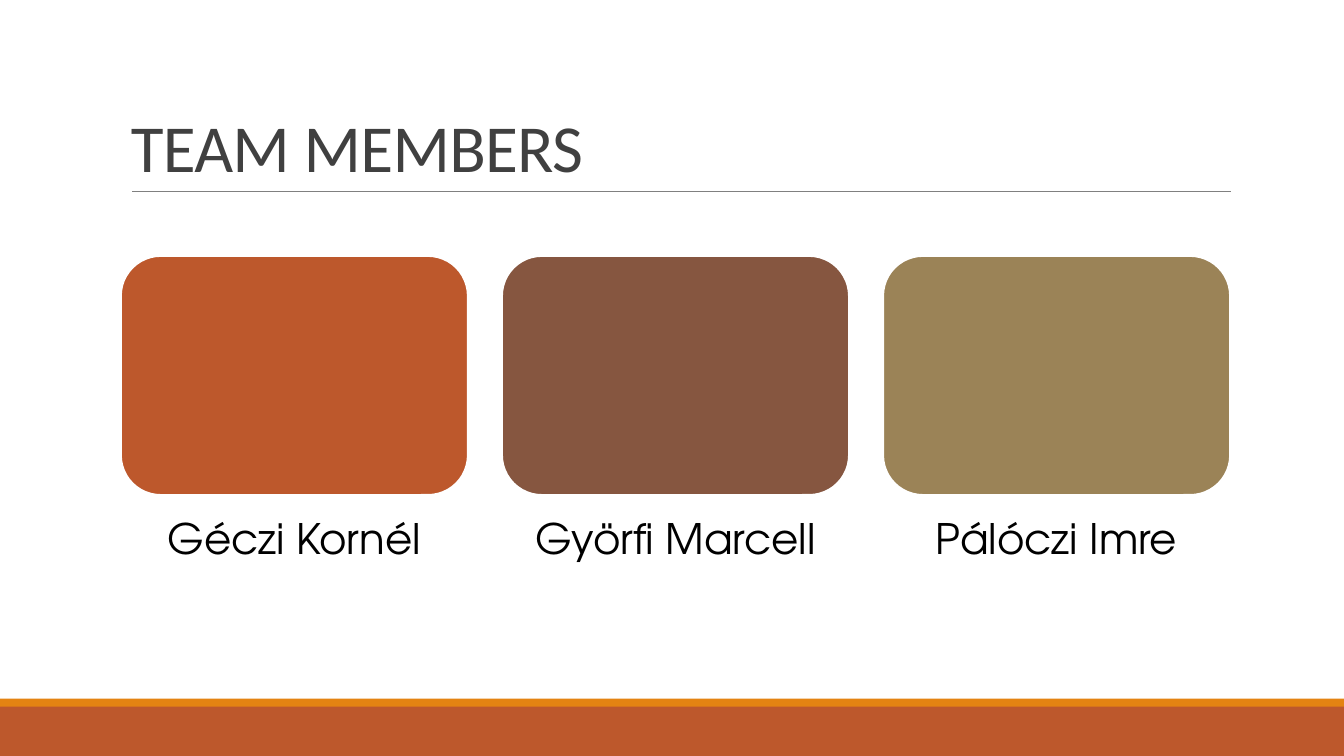
from lxml import etree
from pptx import Presentation
from pptx.dml.color import RGBColor
from pptx.enum import shapes, text
from pptx.oxml.ns import qn
from pptx.util import Inches, Pt

WHITE = RGBColor(0xFF, 0xFF, 0xFF)
BLACK = RGBColor(0, 0, 0)
CHARCOAL = RGBColor(0x40, 0x40, 0x40)
GRAY = RGBColor(0x80, 0x80, 0x80)
AMBER = RGBColor(0xE4, 0x83, 0x12)
RUST = RGBColor(0xBD, 0x58, 0x2C)
BROWN = RGBColor(0x86, 0x56, 0x40)
OLIVE = RGBColor(0x9B, 0x83, 0x57)

PAGE_WIDTH, PAGE_HEIGHT = 13.33, 7.5
MEMBERS = [("Géczi Kornél", RUST), ("Györfi Marcell", BROWN), ("Pálóczi Imre", OLIVE)]


def add_block(page, kind, box, fill, outline=None):
    block = page.shapes.add_shape(kind, *map(Inches, box))
    block.shadow.inherit = False
    block.fill.solid()
    block.fill.fore_color.rgb = fill
    if outline is None:
        block.line.fill.background()
    else:
        block.line.color.rgb = outline
        block.line.width = Pt(1.25)


def add_label(page, box, words, font, frame_format, para_format):
    """Add a one-paragraph text box and return its run."""
    frame = page.shapes.add_textbox(*map(Inches, box)).text_frame
    for name, value in frame_format.items():
        setattr(frame, name, value)
    para = frame.paragraphs[0]
    for name, value in para_format.items():
        setattr(para, name, value)
    span = para.add_run()
    span.text = words
    span.font.name, span.font.size, span.font.color.rgb = font
    return span


def add_heading(page, box, words):
    left, top, width, height = box
    span = add_label(page, box, words, ("Calibri", Pt(48), CHARCOAL),
                     {"word_wrap": True, "vertical_anchor": text.MSO_ANCHOR.BOTTOM},
                     {"line_spacing": 0.85})
    span.font._element.set("spc", "-50")
    rule_left, rule_top = left + 0.11, top + height
    rule = page.shapes.add_connector(
        shapes.MSO_CONNECTOR.STRAIGHT, Inches(rule_left), Inches(rule_top),
        Inches(rule_left + 10.9), Inches(rule_top))
    rule.line.color.rgb = GRAY
    rule.line.width = Pt(0.5)
    etree.SubElement(rule._element.spPr, qn("a:effectLst"))


def add_member(page, box, name, color):
    """Place a rounded card with the member's name below it."""
    left, top, width, height = box
    card_height = 2.37
    add_block(page, shapes.MSO_SHAPE.ROUNDED_RECTANGLE,
              (left, top, width, card_height), color, WHITE)
    inset = Inches(0.23)
    add_label(page, (left, top + card_height, width, height - card_height), name,
              ("TeX Gyre Adventor", Pt(30), BLACK),
              {"word_wrap": True, "margin_left": inset, "margin_top": inset,
               "margin_right": inset, "margin_bottom": 0},
              {"alignment": text.PP_ALIGN.CENTER, "line_spacing": 0.9})


def add_team(page, box, members):
    left, top, width, height = box
    card_width = 3.44
    step = (width - card_width) / (len(members) - 1)
    for index, (name, color) in enumerate(members):
        add_member(page, (left + index * step, top, card_width, height), name, color)


def add_footer(page, box):
    left, top, width, height = box
    stripe = 0.07
    add_block(page, shapes.MSO_SHAPE.RECTANGLE,
              (left, top + stripe, width, height - stripe), RUST)
    add_block(page, shapes.MSO_SHAPE.RECTANGLE, (left, top, width, stripe + 0.01), AMBER)


def main():
    deck = Presentation()
    deck.slide_width, deck.slide_height = Inches(PAGE_WIDTH), Inches(PAGE_HEIGHT)
    page = deck.slides.add_slide(deck.slide_layouts[6])
    add_footer(page, (0, 6.93, PAGE_WIDTH, PAGE_HEIGHT - 6.93))
    add_heading(page, (1.2, 0.31, 11, 1.59), "TEAM MEMBERS")
    add_team(page, (1.2, 2.54, 11, 3.64), MEMBERS)
    deck.save("out.pptx")


if __name__ == "__main__":
    main()
